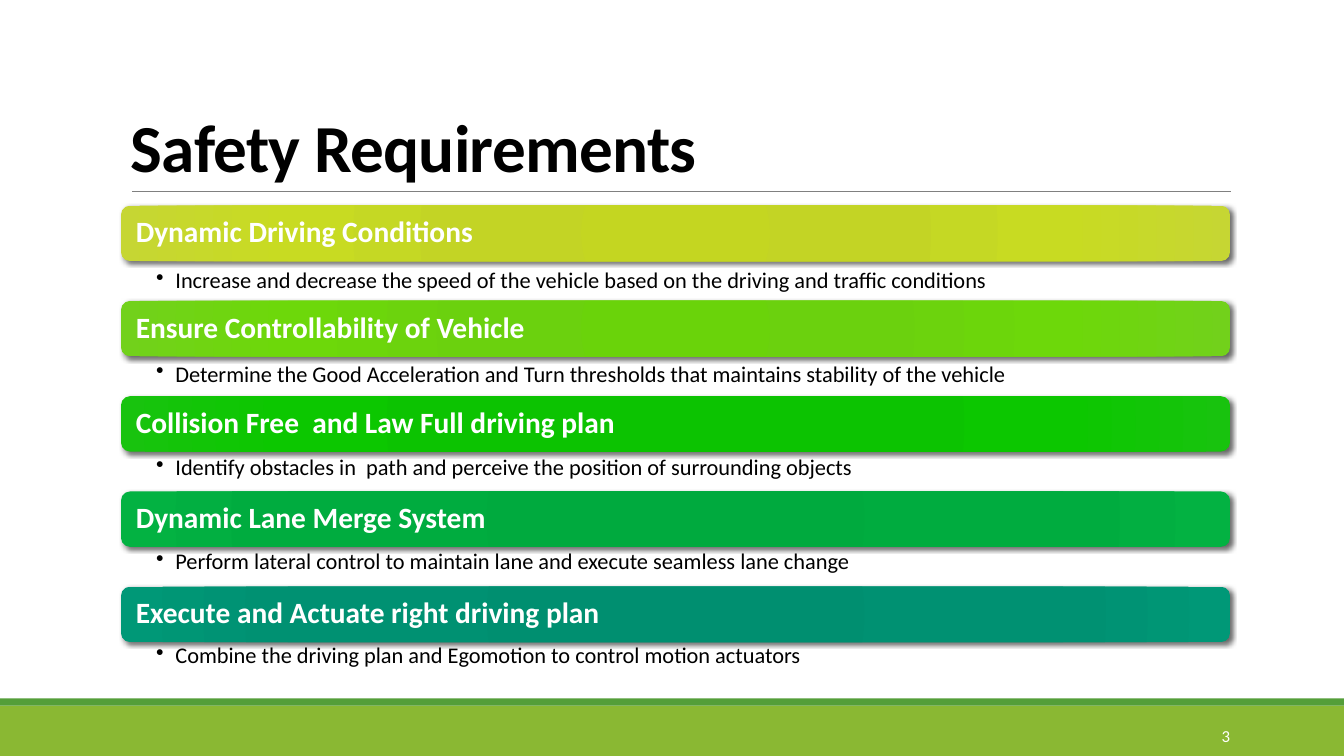
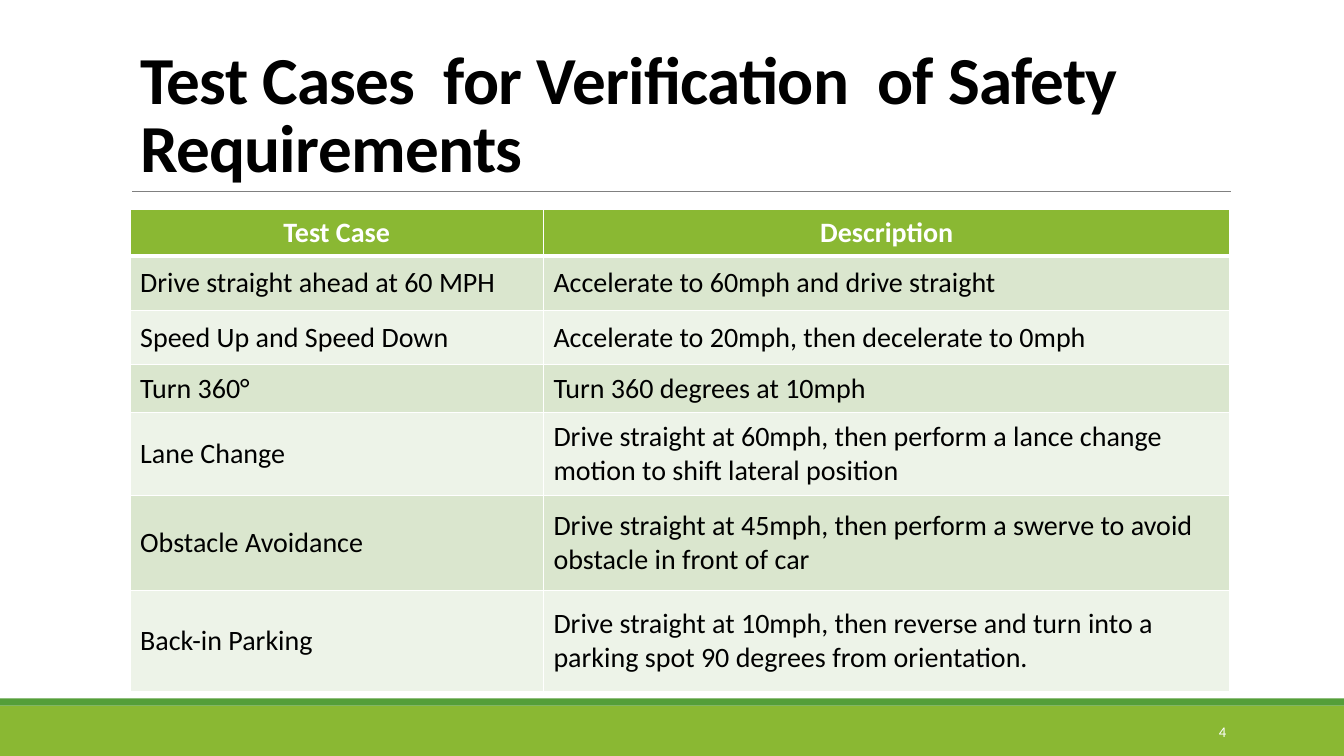
from dataclasses import dataclass

from pptx import Presentation
from pptx.dml.color import RGBColor
from pptx.enum.shapes import MSO_CONNECTOR, MSO_SHAPE
from pptx.enum.text import MSO_ANCHOR, PP_ALIGN
from pptx.oxml import parse_xml
from pptx.oxml.ns import nsdecls
from pptx.util import Inches, Pt

REQUIREMENTS = [
    ("Dynamic Driving Conditions",
     "Increase and decrease the speed of the vehicle based on the driving and traffic conditions",
     ("C4D621", "C3D425", "C8DB22", "C6D633")),
    ("Ensure Controllability of Vehicle",
     "Determine the Good Acceleration and Turn thresholds that maintains stability of the vehicle",
     ("6AD30A", "6BD10E", "6DD80A", "72D11B")),
    ("Collision Free  and Law Full driving plan",
     "Identify obstacles in  path and perceive the position of surrounding objects",
     ("0BC200", "0CC301", "0CC700", "18C30E")),
    ("Dynamic Lane Merge System",
     "Perform lateral control to maintain lane and execute seamless lane change",
     ("00A83D", "00AA3E", "00AC3F", "03B242")),
    ("Execute and Actuate right driving plan",
     "Combine the driving plan and Egomotion to control motion actuators",
     ("008E6F", "008F70", "009172", "009877")),
]

TEST_CASES = [
    ("Test Case", "Description"),
    ("Drive straight ahead at 60 MPH", "Accelerate to 60mph and drive straight"),
    ("Speed Up and Speed Down", "Accelerate to 20mph, then decelerate to 0mph"),
    ("Turn 360°", "Turn 360 degrees at 10mph"),
    ("Lane Change",
     "Drive straight at 60mph, then perform a lance change motion to shift lateral position"),
    ("Obstacle Avoidance",
     "Drive straight at 45mph, then perform a swerve to avoid obstacle in front of car"),
    ("Back-in Parking",
     "Drive straight at 10mph, then reverse and turn into a parking spot 90 degrees from orientation."),
]


@dataclass(frozen=True)
class Theme:
    font: str = "Calibri"
    text: str = "000000"
    light: str = "FFFFFF"
    rule: str = "808080"
    band: str = "8AB833"
    stripe: str = "549E39"
    odd_row: str = "DAE6CE"
    even_row: str = "EDF3E8"
    title_size: float = 48
    heading_size: float = 21
    table_size: float = 20
    bullet_size: float = 16


THEME = Theme()
WIDTH, HEIGHT = 13.33, 7.5
BAND_TOP, STRIPE_TOP = 7, 6.93
CONTENT_LEFT, CONTENT_RIGHT = 1.2, 12.2
CONTENT_WIDTH = CONTENT_RIGHT - CONTENT_LEFT
TABLE_LEFT, TABLE_TOP = 1.29, 2.08
TITLE_TOP, RULE_TOP = 0.31, 1.9
BAR_TOP, BAR_PITCH, BAR_HEIGHT = 2.04, 0.945, 0.55
BULLET_TOP, BULLET_PITCH, BULLET_HEIGHT = 2.64, 0.93, 0.38
GRADIENT_STOPS = (0, 34, 70, 100)
COLUMN_WIDTHS = (4.1, 6.81)
ROW_HEIGHTS = (0.46, 0.54, 0.54, 0.47, 0.83, 0.94, 1)


def color(value):
    return RGBColor.from_string(value)


def write(frame, text, *, size, fill=THEME.text, bold=False, align=PP_ALIGN.LEFT,
          anchor=MSO_ANCHOR.MIDDLE, insets=None, line_spacing=None, tracking=None,
          bullet_indent=None):
    frame.word_wrap = True
    frame.vertical_anchor = anchor
    if insets:
        (frame.margin_left, frame.margin_top,
         frame.margin_right, frame.margin_bottom) = map(Inches, insets)
    paragraph = frame.paragraphs[0]
    paragraph.alignment = align
    if line_spacing:
        paragraph.line_spacing = line_spacing
    if bullet_indent:
        properties = paragraph._p.get_or_add_pPr()
        properties.set("marL", str(Inches(bullet_indent)))
        properties.set("indent", str(-Inches(bullet_indent)))
        properties.append(parse_xml(f'<a:buChar {nsdecls("a")} char="•"/>'))
    run = paragraph.add_run()
    run.text = text
    run.font.name = THEME.font
    run.font.size = Pt(size)
    run.font.bold = bold
    run.font.color.rgb = color(fill)
    if tracking:
        run._r.get_or_add_rPr().set("spc", str(int(tracking * 100)))


def add_text(slide, text, left, top, width, height, **text_format):
    box = slide.shapes.add_textbox(*map(Inches, (left, top, width, height)))
    write(box.text_frame, text, **text_format)


def add_band(slide, top, bottom, fill):
    band = slide.shapes.add_shape(
        MSO_SHAPE.RECTANGLE, *map(Inches, (0, top, WIDTH, bottom - top)))
    band.shadow.inherit = False
    band.fill.solid()
    band.fill.fore_color.rgb = color(fill)
    band.line.fill.background()


def add_frame(presentation, title, title_left, number, number_place, number_size):
    slide = presentation.slides.add_slide(presentation.slide_layouts[6])
    add_band(slide, BAND_TOP, HEIGHT, THEME.band)
    add_band(slide, STRIPE_TOP, BAND_TOP, THEME.stripe)
    rule = slide.shapes.add_connector(
        MSO_CONNECTOR.STRAIGHT, *map(Inches, (1.31, RULE_TOP, 12.21, RULE_TOP)))
    rule.line.color.rgb = color(THEME.rule)
    rule.line.width = Pt(0.5)
    rule._element.spPr.append(parse_xml(f'<a:effectLst {nsdecls("a")}/>'))
    add_text(slide, title, title_left, TITLE_TOP, CONTENT_RIGHT - title_left,
             RULE_TOP - TITLE_TOP, size=THEME.title_size, bold=True,
             anchor=MSO_ANCHOR.BOTTOM, line_spacing=0.85, tracking=-0.5)
    add_text(slide, number, *number_place, 1.43, 0.4, size=number_size,
             fill=THEME.light, align=PP_ALIGN.RIGHT)
    return slide


def add_bar(slide, heading, top, gradient):
    bar = slide.shapes.add_shape(
        MSO_SHAPE.ROUNDED_RECTANGLE,
        *map(Inches, (CONTENT_LEFT, top, CONTENT_WIDTH, BAR_HEIGHT)))
    bar.line.fill.background()
    stops = "".join(
        f'<a:gs pos="{position * 1000}"><a:srgbClr val="{value}"/></a:gs>'
        for position, value in zip(GRADIENT_STOPS, gradient))
    properties = bar._element.spPr
    properties.prstGeom.addnext(parse_xml(
        f'<a:gradFill {nsdecls("a")} rotWithShape="1"><a:gsLst>{stops}</a:gsLst>'
        '<a:path path="circle"><a:fillToRect l="100000" t="100000" r="100000" b="100000"/>'
        '</a:path></a:gradFill>'))
    properties.append(parse_xml(
        f'<a:effectLst {nsdecls("a")}><a:outerShdw blurRad="{Pt(3.5)}" dist="{Pt(2)}" '
        f'dir="{45 * 60000}" algn="tl" rotWithShape="0"><a:srgbClr val="{THEME.text}">'
        '<a:alpha val="60000"/></a:srgbClr></a:outerShdw></a:effectLst>'))
    write(bar.text_frame, heading, size=THEME.heading_size, fill=THEME.light, bold=True,
          insets=(0.12, 0.09, 0.12, 0.09), line_spacing=0.9)


def add_requirements(slide):
    for index, (heading, detail, gradient) in enumerate(REQUIREMENTS):
        add_bar(slide, heading, BAR_TOP + index * BAR_PITCH, gradient)
        add_text(slide, detail, CONTENT_LEFT, BULLET_TOP + index * BULLET_PITCH,
                 CONTENT_WIDTH, BULLET_HEIGHT, size=THEME.bullet_size,
                 anchor=MSO_ANCHOR.TOP, insets=(0.35, 0.03, 0.16, 0.03),
                 line_spacing=0.9, bullet_indent=0.19)


def set_borders(cell, widths):
    properties = cell._tc.get_or_add_tcPr()
    for side, width in widths.items():
        properties.append(parse_xml(
            f'<a:ln{side} {nsdecls("a")} w="{Pt(width)}"><a:solidFill>'
            f'<a:srgbClr val="{THEME.light}"/></a:solidFill></a:ln{side}>'))


def add_test_cases(slide):
    table = slide.shapes.add_table(
        len(TEST_CASES), len(COLUMN_WIDTHS), Inches(TABLE_LEFT), Inches(TABLE_TOP),
        Inches(sum(COLUMN_WIDTHS)), Inches(sum(ROW_HEIGHTS))).table
    for column, width in zip(table.columns, COLUMN_WIDTHS):
        column.width = Inches(width)
    for row_index, (row, texts) in enumerate(zip(table.rows, TEST_CASES)):
        row.height = Inches(ROW_HEIGHTS[row_index])
        header = row_index == 0
        row_fill = THEME.odd_row if row_index % 2 else THEME.even_row
        for cell, text in zip(row.cells, texts):
            set_borders(cell, {"L": 1, "R": 1, "T": 3 if row_index == 1 else 1,
                               "B": 3 if header else 1})
            cell.fill.solid()
            cell.fill.fore_color.rgb = color(THEME.band if header else row_fill)
            cell.vertical_anchor = MSO_ANCHOR.MIDDLE
            write(cell.text_frame, text, size=THEME.table_size, bold=header,
                  fill=THEME.light if header else THEME.text, anchor=None,
                  align=PP_ALIGN.CENTER if header else PP_ALIGN.LEFT)


def main():
    presentation = Presentation()
    presentation.slide_width = Inches(WIDTH)
    presentation.slide_height = Inches(HEIGHT)
    add_requirements(add_frame(
        presentation, "Safety Requirements", CONTENT_LEFT, "3", (10.87, 7.1), 12))
    add_test_cases(add_frame(
        presentation, "Test Cases  for Verification  of Safety Requirements",
        TABLE_LEFT, "4", (10.83, 7.06), 10.5))
    presentation.save("out.pptx")


if __name__ == "__main__":
    main()
